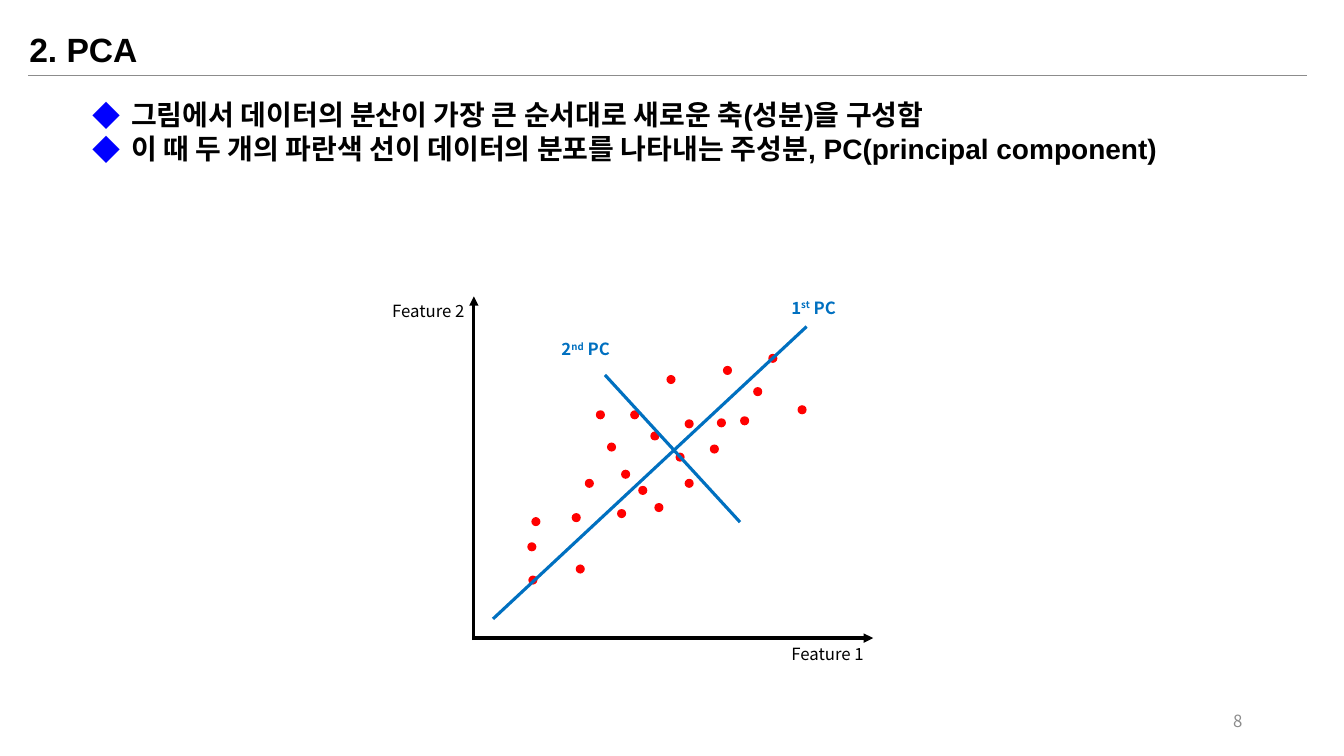
from lxml.etree import SubElement
from pptx import Presentation
from pptx.dml.color import RGBColor
from pptx.enum.shapes import MSO_CONNECTOR, MSO_SHAPE
from pptx.enum.text import MSO_ANCHOR, MSO_AUTO_SIZE, PP_ALIGN
from pptx.oxml.ns import qn
from pptx.util import Inches, Pt

COLORS = {"text": "000000", "rule": "8C8C8C", "number": "8C8C8C",
          "bullet": "0000FF", "dot": "FF0000", "component": "0070C0"}
LATIN, KOREAN = "Arial", "Noto Sans CJK KR"

BULLETS = [
    "그림에서 데이터의 분산이 가장 큰 순서대로 새로운 축(성분)을 구성함",
    "이 때 두 개의 파란색 선이 데이터의 분포를 나타내는 주성분, PC(principal component)",
]

# Everything in the plot is measured right of and above the axis origin.
DOT_SIZE = 0.09
DOTS = [
    (0.53, 0.95), (0.57, 1.20), (1.01, 0.73), (0.54, 0.62), (1.55, 2.26),
    (0.97, 1.24), (1.21, 2.26), (1.10, 1.58), (1.46, 1.67), (1.91, 2.61),
    (1.42, 1.28), (2.09, 2.17), (2.47, 2.70), (2.64, 2.20), (1.79, 1.34),
    (2.00, 1.84), (2.34, 1.92), (2.92, 2.82), (2.77, 2.49), (1.63, 1.51),
    (1.75, 2.05), (2.41, 2.18), (2.09, 1.58), (1.32, 1.94), (3.21, 2.31),
]
AXES = [((0, -0.02), (0, 3.39)), ((0, 0), (3.96, 0))]
COMPONENTS = [((0.19, 0.19), (3.30, 3.09)), ((1.30, 2.61), (2.64, 1.15))]
AXIS_LABELS = [("Feature 2", -0.91, 3.40), ("Feature 1", 3.05, -0.01)]
COMPONENT_LABELS = [("1", "st", 3.05, 3.43, 0.67), ("2", "nd", 0.77, 3.02, 0.71)]


def rgb(name):
    """Return the named colour."""
    return RGBColor.from_string(COLORS[name])


def style(paragraph, size, font, color, bold=False):
    """Set the font of a whole paragraph."""
    paragraph.font.size = Pt(size)
    paragraph.font.name = font
    paragraph.font.bold = bold
    paragraph.font.color.rgb = rgb(color)
    for run in paragraph.runs:
        SubElement(run._r.get_or_add_rPr(), qn("a:ea"), typeface=KOREAN)


def place(shape, box):
    """Move a shape to a box of left, top, width and height."""
    shape.left, shape.top, shape.width, shape.height = map(Inches, box)


def add_line(shapes, start, end, color, width, arrow=False):
    """Draw a straight line, with an arrowhead at its end if asked."""
    line = shapes.add_connector(MSO_CONNECTOR.STRAIGHT,
                                *map(Inches, (*start, *end)))
    line.line.color.rgb = rgb(color)
    line.line.width = Pt(width)
    if arrow:
        SubElement(line.line._get_or_add_ln(), qn("a:tailEnd"), type="triangle")
    SubElement(line._element.spPr, qn("a:effectLst"))


def add_label(shapes, box, parts, color, bold=False):
    """Add a one-line label; every second part is raised."""
    label = shapes.add_textbox(*map(Inches, box))
    label.text_frame.word_wrap = False
    paragraph = label.text_frame.paragraphs[0]
    for index, part in enumerate(parts):
        run = paragraph.add_run()
        run.text = part
        if index % 2:
            run._r.get_or_add_rPr().set("baseline", "30000")
    style(paragraph, 12, KOREAN, color, bold)


def add_title(slide, box, text):
    """Fill the title placeholder and rule a line below it."""
    title = slide.shapes.title
    place(title, box)
    title.text = text
    frame = title.text_frame
    frame.vertical_anchor = MSO_ANCHOR.TOP
    frame.auto_size = MSO_AUTO_SIZE.NONE
    frame.paragraphs[0].alignment = PP_ALIGN.LEFT
    style(frame.paragraphs[0], 24, LATIN, "text", bold=True)
    left, top = box[:2]
    rule = top + 0.51
    add_line(slide.shapes, (left + 0.09, rule), (left + 12.77, rule), "rule", 0.5)


def add_bullets(slide, box, items):
    """Fill the body placeholder with diamond bullets."""
    body = slide.placeholders[1]
    place(body, box)
    frame = body.text_frame
    frame.text = "\n".join(items)
    frame.auto_size = MSO_AUTO_SIZE.NONE
    for paragraph in frame.paragraphs:
        paragraph.space_before = Pt(0)
        paragraph.line_spacing = Pt(24)
        properties = paragraph._p.get_or_add_pPr()
        properties.set("marL", str(Inches(0.38)))
        properties.set("indent", str(-Inches(0.38)))
        color = SubElement(properties, qn("a:buClr"))
        SubElement(color, qn("a:srgbClr"), val=COLORS["bullet"])
        SubElement(properties, qn("a:buFont"), typeface=KOREAN)
        SubElement(properties, qn("a:buChar"), char="◆")
        style(paragraph, 20, LATIN, "text", bold=True)


def add_scatter(slide, left, top):
    """Draw the data cloud with its axes and principal components."""
    shapes = slide.shapes.add_group_shape().shapes

    def at(right, up):
        """Turn plot coordinates into slide coordinates."""
        return left + 0.91 + right, top + 3.43 - up

    for start, end in AXES:
        add_line(shapes, at(*start), at(*end), "text", 2.25, arrow=True)
    for point in DOTS:
        dot = shapes.add_shape(MSO_SHAPE.OVAL, *map(
            Inches, (*at(*point), DOT_SIZE, DOT_SIZE)))
        dot.shadow.inherit = False
        dot.fill.solid()
        dot.fill.fore_color.rgb = rgb("dot")
        dot.line.fill.background()
    for start, end in COMPONENTS:
        add_line(shapes, at(*start), at(*end), "component", 2.25)
    for text, right, up in AXIS_LABELS:
        add_label(shapes, (*at(right, up), 0.92, 0.3), [text], "text")
    for number, suffix, right, up, width in COMPONENT_LABELS:
        add_label(shapes, (*at(right, up), width, 0.3),
                  [number, suffix, " PC"], "component", bold=True)


def add_slide_number(slide, box, number):
    """Write the slide number at the right of its box."""
    frame = slide.shapes.add_textbox(*map(Inches, box)).text_frame
    frame.word_wrap = True
    frame.vertical_anchor = MSO_ANCHOR.MIDDLE
    frame.text = number
    frame.paragraphs[0].alignment = PP_ALIGN.RIGHT
    style(frame.paragraphs[0], 12, KOREAN, "number")


presentation = Presentation()
presentation.slide_width, presentation.slide_height = Inches(13.33), Inches(7.5)
slide = presentation.slides.add_slide(presentation.slide_layouts[1])
add_title(slide, (0.19, 0.24, 9.15, 0.5), "2. PCA")
add_bullets(slide, (0.82, 0.92, 11.82, 0.77), BULLETS)
add_scatter(slide, 3.79, 2.90)
add_slide_number(slide, (9.42, 6.95, 3, 0.4), "8")
presentation.save("out.pptx")
